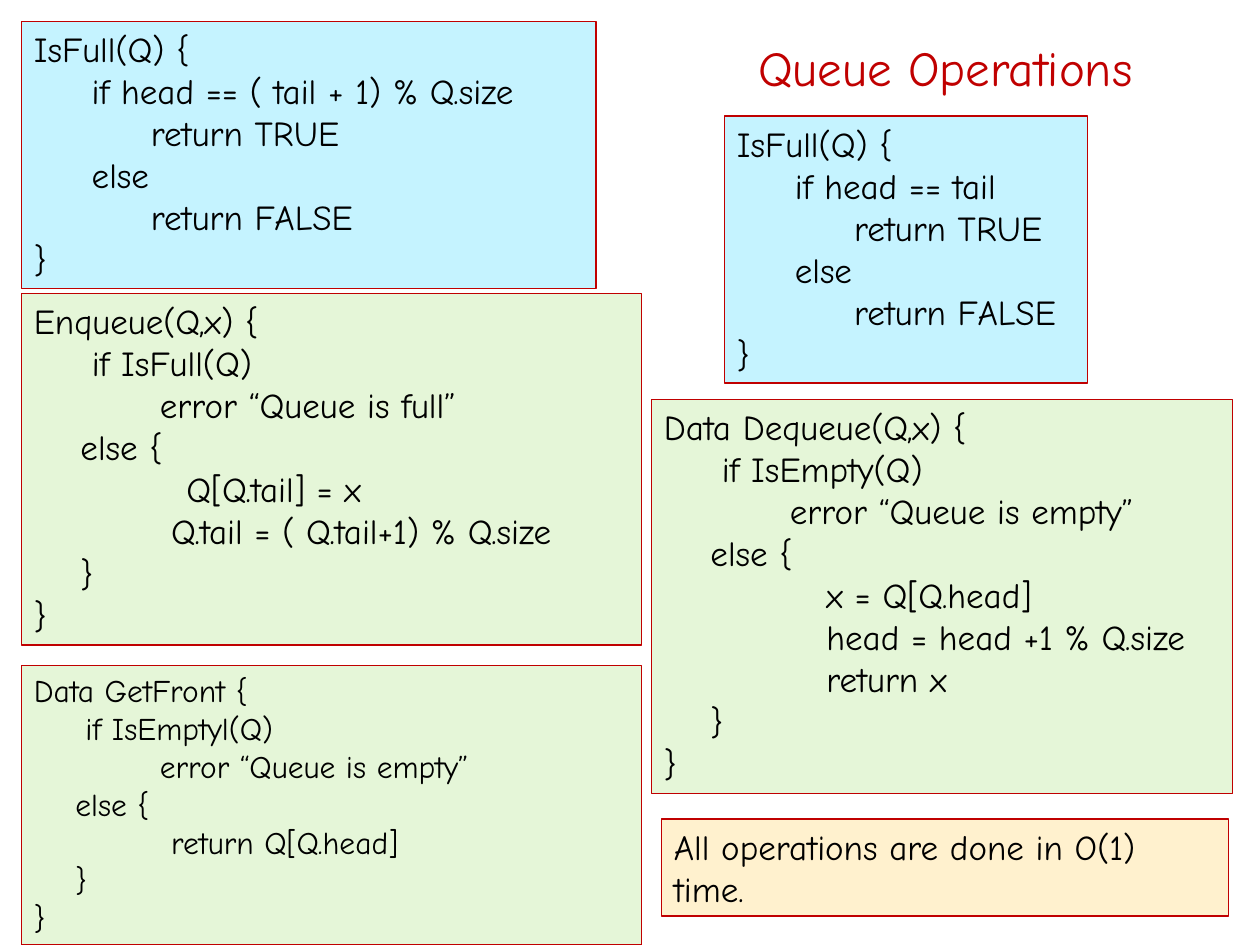
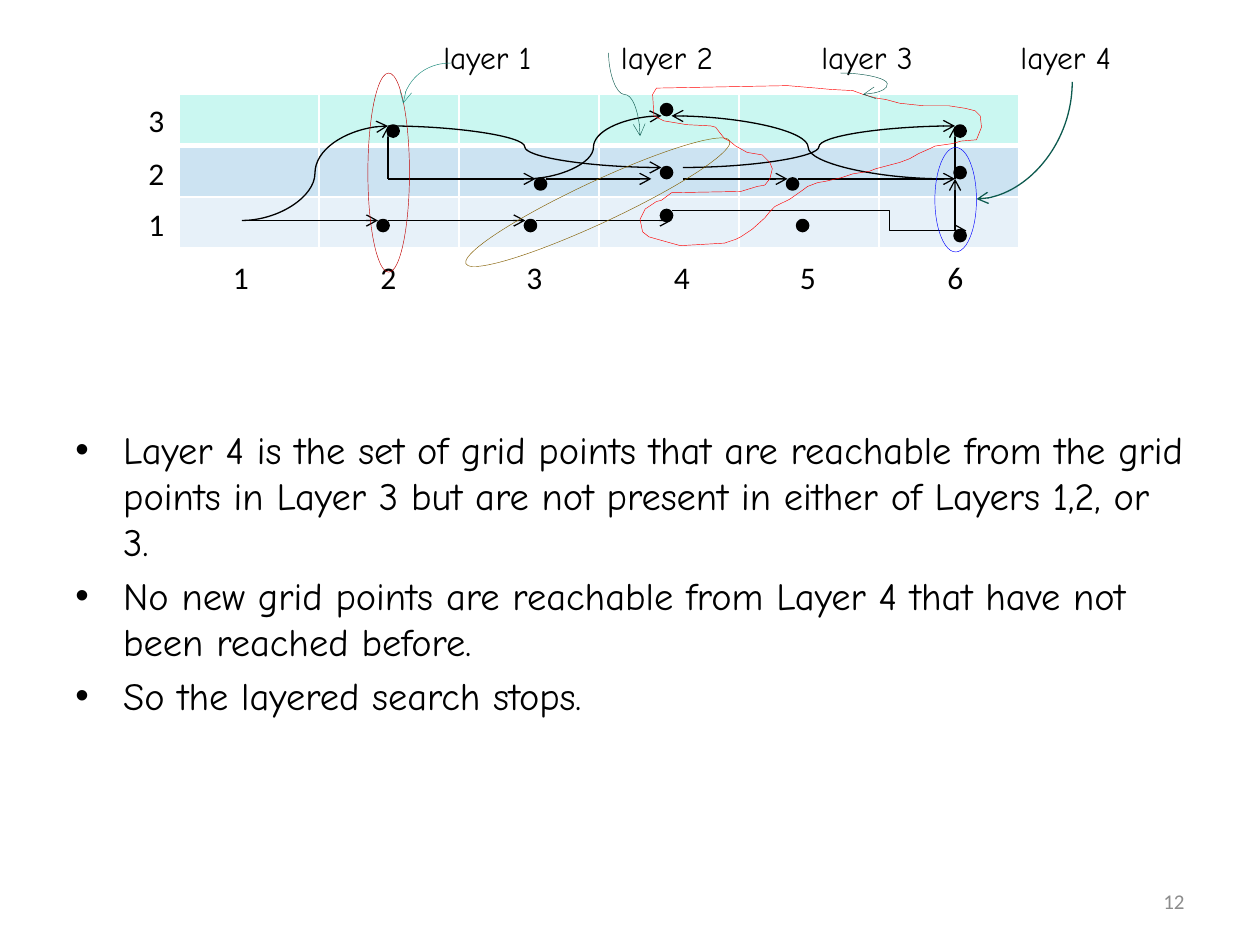
from dataclasses import dataclass

from lxml import etree
from pptx import Presentation
from pptx.dml.color import RGBColor
from pptx.enum.shapes import MSO_CONNECTOR, MSO_SHAPE
from pptx.enum.text import MSO_ANCHOR, MSO_AUTO_SIZE, PP_ALIGN
from pptx.oxml.ns import qn
from pptx.util import Inches, Pt

RECT, OVAL = MSO_SHAPE.RECTANGLE, MSO_SHAPE.OVAL
STRAIGHT, ELBOW, CURVE = MSO_CONNECTOR.STRAIGHT, MSO_CONNECTOR.ELBOW, MSO_CONNECTOR.CURVE
LEFT, RIGHT = PP_ALIGN.LEFT, PP_ALIGN.RIGHT
TOP, MIDDLE = MSO_ANCHOR.TOP, MSO_ANCHOR.MIDDLE
GROW = MSO_AUTO_SIZE.SHAPE_TO_FIT_TEXT

COMIC, CALIBRI = "Comic Neue", "Calibri"
BLACK, WHITE, RED, GRAY = "000000", "FFFFFF", "C00000", "8C8C8C"
BLUE_BOX, GREEN_BOX, YELLOW_BOX = "C5F3FF", "E5F6D8", "FFF1CE"
TEAL, DARK_TEAL = "138677", "0D5A4F"
OUTLINE, HAIRLINE = 0.75, 0.25


@dataclass
class CodeBox:
    at: tuple
    fill: str
    lines: list  # (indent in inches, text)
    size: float = 20


@dataclass
class Arrow:
    start: tuple
    end: tuple
    kind: int = STRAIGHT
    adj: float | None = None
    color: str = BLACK
    width: float = OUTLINE
    quarter: bool = False  # a single bend
    down: bool = False  # leaves its start vertically


@dataclass
class Ring:
    at: tuple
    color: str
    rotation: float = 0


def rgb(color: str) -> RGBColor:
    return RGBColor.from_string(color)


def inches(values) -> list:
    return [Inches(v) for v in values]


def set_all(target, formats: dict) -> None:
    for name, value in formats.items():
        setattr(target, name, value)


def write(tf, lines, size, font=COMIC, color=BLACK, align=LEFT, before=0) -> None:
    """Fill a text frame with (indent, text) lines."""
    for i, (indent, text) in enumerate(lines):
        p = tf.paragraphs[0] if i == 0 else tf.add_paragraph()
        set_all(p, {"alignment": align, "space_before": Pt(before)})
        if indent:
            p._p.get_or_add_pPr().set("marL", str(Inches(indent)))
        r = p.add_run()
        r.text = text
        set_all(r.font, {"name": font, "size": Pt(size)})
        r.font.color.rgb = rgb(color)


def add_text(s, at, lines, size, wrap=True, anchor=TOP, **style):
    tf = s.shapes.add_textbox(*inches(at)).text_frame
    set_all(tf, {"word_wrap": wrap, "vertical_anchor": anchor})
    if not wrap:
        tf.auto_size = GROW
    write(tf, lines, size, **style)
    return tf


def paint(sp, fill, line, width) -> None:
    sp.shadow.inherit = False
    if fill:
        sp.fill.solid()
        sp.fill.fore_color.rgb = rgb(fill)
    else:
        sp.fill.background()
    sp.line.color.rgb = rgb(line)
    sp.line.width = Pt(width)


def add_shape(s, kind, at, fill, line, width):
    sp = s.shapes.add_shape(kind, *inches(at))
    paint(sp, fill, line, width)
    return sp


def add_code(s, box: CodeBox) -> None:
    sp = add_shape(s, RECT, box.at, box.fill, RED, OUTLINE)
    set_all(sp.text_frame, {"word_wrap": True, "vertical_anchor": TOP})
    write(sp.text_frame, box.lines, box.size)


def add_arrow(s, a: Arrow) -> None:
    (x1, y1), (x2, y2) = a.start, a.end
    if a.down:  # lay the path out flat, then turn it by 90 degrees
        cx, cy, dx, dy = (x1 + x2) / 2, (y1 + y2) / 2, x2 - x1, y2 - y1
        x1, y1, x2, y2 = cx - dy / 2, cy + dx / 2, cx + dy / 2, cy - dx / 2
    c = s.shapes.add_connector(a.kind, *inches((x1, y1, x2, y2)))
    c.line.color.rgb = rgb(a.color)
    c.line.width = Pt(a.width)
    sp_pr = c._element.spPr
    if a.down:
        sp_pr.find(qn("a:xfrm")).set("rot", str(90 * 60000))
    geom = sp_pr.find(qn("a:prstGeom"))
    if a.quarter:
        geom.set("prst", "curvedConnector2")
    if a.adj is not None:
        guides = geom.find(qn("a:avLst"))
        if guides is None:
            guides = etree.SubElement(geom, qn("a:avLst"))
        etree.SubElement(guides, qn("a:gd"), name="adj1", fmla=f"val {round(a.adj * 100000)}")
    etree.SubElement(sp_pr.find(qn("a:ln")), qn("a:tailEnd"), type="arrow")
    etree.SubElement(sp_pr, qn("a:effectLst"))


def add_border(cell, side: str, width: float) -> None:
    ln = etree.SubElement(cell._tc.get_or_add_tcPr(), qn(f"a:{side}"), w=str(Pt(width)))
    fill = etree.SubElement(ln, qn("a:solidFill"))
    etree.SubElement(fill, qn("a:srgbClr"), val=WHITE)


def add_grid(s, at, row_colors, columns) -> None:
    table = s.shapes.add_table(len(row_colors), columns, *inches(at)).table
    for i, color in enumerate(row_colors):
        for j in range(columns):
            cell = table.cell(i, j)
            add_border(cell, "lnL", 1)
            add_border(cell, "lnR", 1)
            add_border(cell, "lnT", 3 if i == 1 else 1)
            add_border(cell, "lnB", 3 if i == 0 else 1)
            cell.fill.solid()
            cell.fill.fore_color.rgb = rgb(color)


def add_bullets(s, at, texts, size) -> None:
    tf = add_text(s, at, [(0.38, t) for t in texts], size, before=size / 5)
    for p in tf.paragraphs:
        p_pr = p._p.get_or_add_pPr()
        p_pr.set("indent", str(-Inches(0.38)))
        etree.SubElement(p_pr, qn("a:buFont"), typeface="Arial")
        etree.SubElement(p_pr, qn("a:buChar"), char="•")


def is_full(condition: str) -> list:
    return [(0, "IsFull(Q) {"), (0.46, f"if head == {condition}"), (0.93, "return TRUE"),
            (0.46, "else"), (0.93, "return FALSE"), (0, "}")]


def guarded(name, test, error, steps, test_in=0.46, else_in=0.37) -> list:
    """Pseudocode that reports an error or else runs its steps."""
    return [(0, f"{name} {{"), (test_in, f"if {test}"), (1.0, f"error “Queue is {error}”"),
            (else_in, "else {"), *steps, (else_in, "}"), (0, "}")]


prs = Presentation()
prs.slide_width, prs.slide_height = Inches(10), Inches(7.5)
blank = prs.slide_layouts[6]

# Slide 1: queue operations
s = prs.slides.add_slide(blank)
CODE_BOXES = [
    CodeBox((0.17, 0.17, 4.56, 2.12), BLUE_BOX, is_full("( tail + 1) % Q.size")),
    CodeBox((0.17, 2.33, 4.92, 2.79), GREEN_BOX,
            guarded("Enqueue(Q,x)", "IsFull(Q)", "full",
                    [(1.21, "Q[Q.tail] = x"), (1.09, "Q.tail = ( Q.tail+1) % Q.size")])),
    CodeBox((5.75, 0.92, 2.88, 2.12), BLUE_BOX, is_full("tail")),
    CodeBox((5.17, 3.17, 4.61, 3.13), GREEN_BOX,
            guarded("Data Dequeue(Q,x)", "IsEmpty(Q)", "empty",
                    [(1.29, "x = Q[Q.head]"), (1.29, "head = head +1 % Q.size"),
                     (1.29, "return x")])),
    CodeBox((0.17, 5.28, 4.92, 2.22), GREEN_BOX,
            guarded("Data GetFront", "IsEmptyl(Q)", "empty", [(1.09, "return Q[Q.head]")],
                    0.41, 0.33), 18),
    CodeBox((5.25, 6.5, 4.5, 0.77), YELLOW_BOX, [(0, "All operations are done in O(1) time.")]),
]
for box in CODE_BOXES:
    add_code(s, box)
add_text(s, (5.92, 0.25, 3.53, 0.57), [(0, "Queue Operations")], 28, wrap=False, color=RED)

# Slide 2: layered search
s = prs.slides.add_slide(blank)
add_bullets(s, (0.5, 3.33, 9, 2.58), [
    "Layer 4 is the set of grid points that are reachable from the grid points in Layer 3 "
    "but are not present in either of Layers 1,2, or 3.",
    "No new grid points are reachable from Layer 4 that have not been reached before.",
    "So the layered search stops.",
], 22)
add_text(s, (7.17, 6.95, 2.33, 0.4), [(0, "12")], 12, anchor=MIDDLE,
         font=CALIBRI, color=GRAY, align=RIGHT)

# Grid with its axis numbers
add_grid(s, (1.42, 0.75, 6.67, 1.22), ["CAF7F1", "CCE3F2", "E7F1F9"], 6)
columns = [(x, 2) for x in (1.75, 2.92, 4.08, 5.25, 6.25, 7.42)]
rows = [(1.08, y) for y in (1.58, 1.17, 0.75)]
for axis in (columns, rows):
    for number, (x, y) in enumerate(axis, 1):
        add_text(s, (x, y, 0.33, 0.4), [(0, str(number))], 18, wrap=False, font=CALIBRI)

# Moves between grid points
MOVES = [
    Arrow((1.92, 1.75), (3, 1.75)),
    Arrow((3.08, 1.75), (4.17, 1.75)),
    Arrow((4.25, 1.75), (5.33, 1.75)),
    Arrow((5.33, 1.67), (7.67, 1.83), ELBOW, 0.74),
    Arrow((1.92, 1.75), (3.08, 1), CURVE),
    Arrow((3.08, 1), (5.25, 1.33), CURVE),
    Arrow((5.42, 1.33), (7.58, 1), CURVE),
    Arrow((3.08, 1.42), (3.08, 1)),
    Arrow((3.08, 1.42), (4.25, 1.42)),
    Arrow((4.33, 1.42), (5.17, 1.42)),
    Arrow((7.58, 1.83), (7.58, 1.42)),
    Arrow((7.58, 1.42), (7.58, 1)),
    Arrow((5.42, 1.42), (6.25, 1.42)),
    Arrow((6.33, 1.42), (7.58, 1.42)),
    Arrow((4.17, 1.42), (5.25, 0.92), CURVE),
    Arrow((7.5, 1.42), (5.33, 0.92), CURVE),
]
for move in MOVES:
    add_arrow(s, move)

# Grid points
DOTS = [(3, 1.75), (3.08, 1), (4.17, 1.75), (5.25, 1.67), (5.25, 1.33), (6.25, 1.42),
        (7.58, 1.33), (4.25, 1.42), (7.58, 1.83), (7.58, 1), (6.33, 1.75), (5.25, 0.83)]
for x, y in DOTS:
    add_shape(s, OVAL, (x, y, 0.08, 0.08), BLACK, BLACK, 2)

# Outlines of the layers
RINGS = [
    Ring((2.92, 0.58, 0.33, 1.58), RED),
    Ring((3.59, 1.44, 2.31, 0.33), "835E01", 335),
    Ring((7.42, 1.17, 0.33, 0.83), "0000FF"),
]
for ring in RINGS:
    sp = add_shape(s, OVAL, ring.at, None, ring.color, HAIRLINE)
    sp.rotation = ring.rotation

LAYER_3 = [
    (5.18, 0.75), (5.19, 0.92), (5.27, 0.96), (5.45, 0.99), (5.64, 1), (5.68, 1.01),
    (5.71, 1.05), (5.75, 1.1), (5.79, 1.12), (5.84, 1.16), (5.93, 1.21), (6.05, 1.23),
    (6.11, 1.29), (6.13, 1.34), (6.11, 1.42), (6.07, 1.47), (6.01, 1.48), (5.88, 1.52),
    (5.33, 1.53), (5.25, 1.59), (5.21, 1.6), (5.12, 1.66), (5.08, 1.74), (5.1, 1.84),
    (5.15, 1.88), (5.29, 1.92), (5.4, 1.95), (5.75, 1.93), (5.84, 1.9), (5.88, 1.88),
    (5.97, 1.82), (6.07, 1.73), (6.11, 1.68), (6.15, 1.64), (6.27, 1.58), (6.37, 1.51),
    (6.41, 1.48), (6.49, 1.45), (6.55, 1.44), (6.68, 1.41), (6.77, 1.38), (6.9, 1.36),
    (6.95, 1.34), (7.14, 1.29), (7.22, 1.26), (7.29, 1.22), (7.38, 1.18), (7.42, 1.16),
    (7.56, 1.14), (7.63, 1.12), (7.75, 1.11), (7.79, 1.01), (7.78, 0.92), (7.74, 0.88),
    (7.66, 0.86), (7.53, 0.84), (7.33, 0.84), (7.14, 0.82), (7.03, 0.79), (6.96, 0.78),
    (6.85, 0.75), (6.77, 0.72), (6.59, 0.71), (6.48, 0.7), (6.25, 0.68), (5.21, 0.7),
]
outline = [inches(point) for point in LAYER_3]
builder = s.shapes.build_freeform(*outline[0])
builder.add_line_segments(outline[1:], close=True)
paint(builder.convert_to_shape(), None, "FF0000", HAIRLINE)

# Layer names and their pointers
for number, (x, width) in enumerate([(3.42, 0.98), (4.83, 1.02), (6.42, 1.02), (8, 1.02)], 1):
    add_text(s, (x, 0.25, width, 0.4), [(0, f"layer {number}")], 18, wrap=False)
POINTERS = [
    Arrow((3.58, 0.5), (3.2, 0.82), CURVE, None, TEAL, HAIRLINE, quarter=True),
    Arrow((4.83, 0.42), (5.08, 1.08), CURVE, None, DARK_TEAL, HAIRLINE, down=True),
    Arrow((6.67, 0.58), (6.85, 0.75), CURVE, 2.07, DARK_TEAL, HAIRLINE),
    Arrow((8.51, 0.65), (7.75, 1.58), CURVE, None, DARK_TEAL, quarter=True, down=True),
]
for pointer in POINTERS:
    add_arrow(s, pointer)

prs.save("out.pptx")
